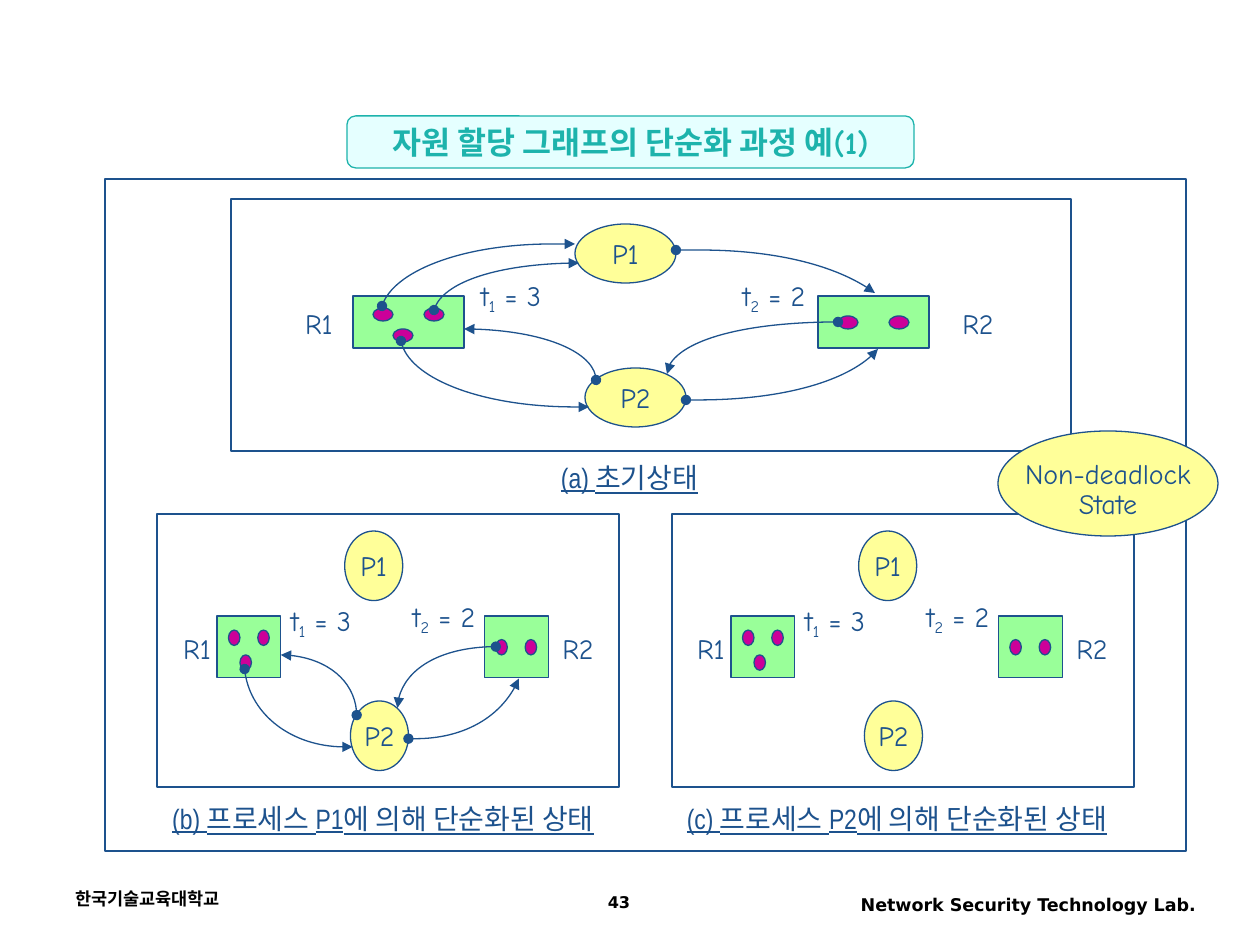
"""Builds the slide on reducing a resource allocation graph."""
import pptx
import pptx.dml.color
import pptx.enum.shapes
import pptx.enum.text
import pptx.oxml
import pptx.oxml.ns
import pptx.util

RGB = pptx.dml.color.RGBColor
KIND = pptx.enum.shapes.MSO_SHAPE
ALIGN = pptx.enum.text.PP_ALIGN
ANCHOR = pptx.enum.text.MSO_ANCHOR
FIT = pptx.enum.text.MSO_AUTO_SIZE
qn = pptx.oxml.ns.qn

PX = 914400 / 126
INK = RGB(0x1D, 0x52, 0x8D)
TEAL = RGB(0x1D, 0xB3, 0xAC)
CYAN = RGB(0xCC, 0xFF, 0xFF)
YELLOW = RGB(0xFF, 0xFF, 0x99)
GREEN = RGB(0x99, 0xFF, 0x99)
MAGENTA = RGB(0xCC, 0x00, 0x99)
BLACK = RGB(0, 0, 0)

FOOTERS = [
    ("한국기술교육대학교", (63, 882, 294, 42), 10, ALIGN.LEFT, 1),
    ("Network Security Technology Lab.", (809, 888, 399, 40), 10, ALIGN.RIGHT, 1),
    ("43", (472, 888, 294, 35), 9.2, ALIGN.CENTER, 0.9),
]

NODES = [
    (KIND.RECTANGLE, (0, 72, 111, 52), GREEN, ""),
    (KIND.RECTANGLE, (465, 72, 111, 52), GREEN, ""),
    (KIND.OVAL, (222, 0, 101, 59), YELLOW, "P1"),
    (KIND.OVAL, (232, 144, 101, 59), YELLOW, "P2"),
] + [
    (KIND.OVAL, (x, y, 20, 13), MAGENTA, "")
    for x, y in [(20, 84), (71, 84), (40, 105), (485, 92), (536, 92)]
]

P1_ARCS = [
    ("oval", "triangle", [(323, 26), (347, 26), (421, 26), (488, 43), (522, 69)]),
    ("triangle", "oval", [(226, 39), (226, 39), (151, 39), (88, 59), (81, 86)]),
    ("triangle", "oval", [(222, 20), (199, 20), (113, 20), (40, 47), (29, 82)]),
]
P2_ARCS = [
    ("oval", "triangle", [(333, 176), (345, 176), (428, 176), (501, 155), (525, 125)]),
    ("triangle", "oval", [(236, 183), (222, 183), (131, 183), (55, 154), (48, 117)]),
    ("triangle", "oval", [(111, 105), (111, 105), (184, 105), (243, 129), (243, 156)]),
    ("oval", "triangle", [(485, 98), (485, 98), (391, 98), (314, 121), (314, 150)]),
]

LABELS = [("R1", 60), ("R2", 60), ("t|1| = 3", 96), ("t|2| = 2", 96)]
LABEL_H = 47
WIDE_SPOTS = [(-34, 99), (625, 99), (158, 73), (421, 73)]
NARROW_SPOTS = [(-20, 117), (361, 117), (104, 91), (227, 87)]

PANELS = [
    dict(frame=(231, 199, 840, 252), origin=(353, 224), scale=(1, 1),
         arcs=P1_ARCS + P2_ARCS, spots=WIDE_SPOTS,
         caption="(a) 초기상태", caption_box=(451, 451, 357, 53)),
    dict(frame=(157, 514, 462, 273), origin=(217, 531), scale=(0.575, 1.18),
         arcs=P2_ARCS, spots=NARROW_SPOTS,
         caption="(b) 프로세스 P1에 의해 단순화된 상태", caption_box=(126, 787, 514, 63)),
    dict(frame=(672, 514, 462, 273), origin=(731, 531), scale=(0.575, 1.18),
         arcs=[], spots=NARROW_SPOTS,
         caption="(c) 프로세스 P2에 의해 단순화된 상태", caption_box=(640, 787, 514, 63)),
]


def emu(values):
    return [round(v * PX) for v in values]


def write(s, text, size=16, font="Comic Neue", color=INK, bold=False, underline=False,
          align=ALIGN.CENTER, anchor=ANCHOR.MIDDLE, wrap=False, fit=FIT.NONE, spacing=(1,)):
    tf = s.text_frame
    tf.word_wrap = wrap
    tf.auto_size = fit
    tf.vertical_anchor = anchor
    for i, line in enumerate(text.split("\n")):
        p = tf.add_paragraph() if i else tf.paragraphs[0]
        p.alignment = align
        p.line_spacing = spacing[i]
        for j, part in enumerate(line.split("|")):
            r = p.add_run()
            r.text = part
            r.font.size = pptx.util.Pt(size)
            r.font.name = font
            r.font.color.rgb = color
            r.font.bold = bold
            r.font.underline = underline
            if j % 2:
                r.font._element.set("baseline", "-20000")


def style(s, fill=None, line=INK):
    s.shadow.inherit = False
    if fill is None:
        s.fill.background()
    else:
        s.fill.solid()
        s.fill.fore_color.rgb = fill
    if line is None:
        s.line.fill.background()
    else:
        s.line.color.rgb = line
        s.line.width = pptx.util.Pt(0.75)
    return s


def add_block(shapes, kind, box, fill=None, line=INK):
    return style(shapes.add_shape(kind, *emu(box)), fill, line)


def add_label(shapes, box, text, **fmt):
    write(shapes.add_textbox(*emu(box)), text, **fmt)


def add_arc(shapes, head, tail, points):
    start, knee, c1, c2, end = map(emu, points)
    builder = shapes.build_freeform(*start)
    builder.add_line_segments([end] if knee == start else [knee, end], close=False)
    s = style(builder.convert_to_shape())
    last = s._element.findall(".//" + qn("a:lnTo"))[-1]
    last.tag = qn("a:cubicBezTo")
    for i, (x, y) in enumerate([c1, c2]):
        pt = pptx.oxml.parse_xml(f'<a:pt {pptx.oxml.ns.nsdecls("a")}/>')
        pt.set("x", str(x - s.left))
        pt.set("y", str(y - s.top))
        last.insert(i, pt)
    ln = s.line._get_or_add_ln()
    for tag, end_type in [("a:headEnd", head), ("a:tailEnd", tail)]:
        ln.append(pptx.oxml.parse_xml(
            f'<{tag} {pptx.oxml.ns.nsdecls("a")} type="{end_type}"/>'))


def add_panel(shapes, frame, origin, scale, arcs, spots, caption, caption_box):
    (ox, oy), (sx, sy) = origin, scale
    add_block(shapes, KIND.RECTANGLE, frame)
    for kind, (x, y, w, h), fill, text in NODES:
        s = add_block(shapes, kind, (ox + x * sx, oy + y * sy, w * sx, h * sy), fill)
        if text:
            write(s, text)
    for head, tail, points in arcs:
        add_arc(shapes, head, tail, [(ox + x * sx, oy + y * sy) for x, y in points])
    for (text, w), (x, y) in zip(LABELS, spots):
        box = (ox + x - w / 2, oy + y - LABEL_H / 2, w, LABEL_H)
        add_label(shapes, box, text, fit=FIT.SHAPE_TO_FIT_TEXT)
    s = add_block(shapes, KIND.FLOWCHART_ALTERNATE_PROCESS, caption_box, line=None)
    write(s, caption, font="Arial Narrow", underline=True)


def main():
    prs = pptx.Presentation()
    prs.slide_width, prs.slide_height = emu((1260, 945))
    shapes = prs.slides.add_slide(prs.slide_layouts[6]).shapes
    for text, box, size, align, spacing in FOOTERS:
        add_label(shapes, box, text, size=size, font="DejaVu Sans", color=BLACK, bold=True,
                  align=align, anchor=ANCHOR.TOP, wrap=True, spacing=(spacing,))
    for panel in PANELS:
        add_panel(shapes, **panel)
    add_block(shapes, KIND.RECTANGLE, (105, 179, 1081, 672))
    title = add_block(shapes, KIND.FLOWCHART_ALTERNATE_PROCESS, (347, 116, 567, 52),
                      CYAN, TEAL)
    clr = title.fill._xPr.find(qn("a:solidFill"))[0]
    clr.append(pptx.oxml.parse_xml(
        f'<a:alpha {pptx.oxml.ns.nsdecls("a")} val="50000"/>'))
    write(title, "자원 할당 그래프의 단순화 과정 예(1)", size=18, color=TEAL, bold=True)
    verdict = add_block(shapes, KIND.OVAL, (998, 431, 220, 105), YELLOW)
    write(verdict, "Non-deadlock\nState", spacing=(1.3, 0.9))
    prs.save("out.pptx")


if __name__ == "__main__":
    main()
